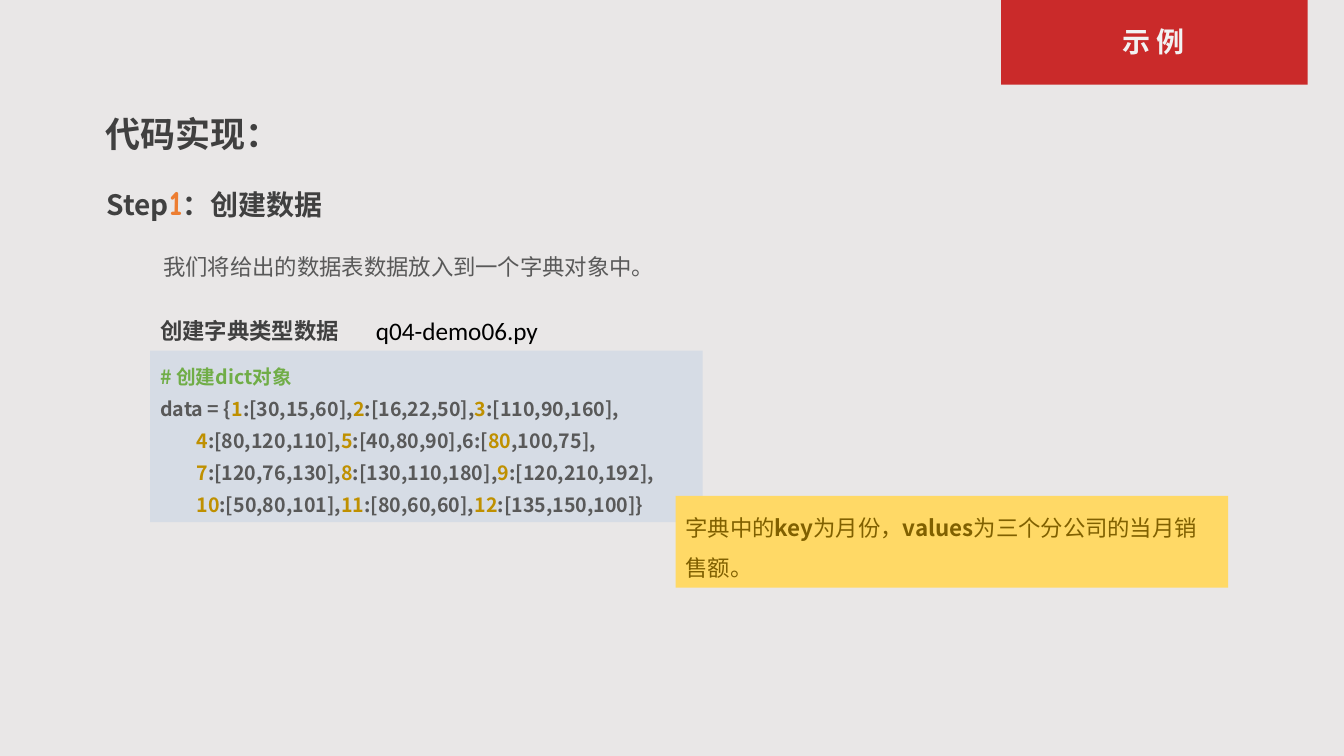
"""Build the slide that shows how to create dictionary data in code."""
from lxml.etree import SubElement
from pptx import Presentation
from pptx.dml.color import RGBColor
from pptx.enum.shapes import MSO_SHAPE as Preset
from pptx.enum.text import MSO_ANCHOR as Anchor, MSO_AUTO_SIZE as AutoSize, PP_ALIGN as Align
from pptx.oxml.ns import qn
from pptx.util import Inches, Pt

HEADING, BODY, NUMBER, COMMENT, NOTE = "404040", "595959", "BF9000", "70AD47", "806000"


def rgb(value):
    """Turn a hex string into a colour."""
    return RGBColor.from_string(value)


class Board:
    """Hold the style and the current slide."""

    font = "Noto Sans CJK SC"

    def __init__(self, slide, background):
        """Take the slide and paint its background."""
        self.slide = slide
        slide.background.fill.solid()
        slide.background.fill.fore_color.rgb = rgb(background)

    def panel(self, box, fill, anchor=Anchor.TOP):
        """Add a plain filled rectangle and return its text frame."""
        panel = self.slide.shapes.add_shape(Preset.RECTANGLE, *map(Inches, box))
        panel.shadow.inherit = False
        panel.fill.solid()
        panel.fill.fore_color.rgb = rgb(fill)
        panel.line.fill.background()
        panel.text_frame.word_wrap = True
        panel.text_frame.vertical_anchor = anchor
        return panel.text_frame

    def label(self, box, wrap=True):
        """Add a text box and return its text frame."""
        frame = self.slide.shapes.add_textbox(*map(Inches, box)).text_frame
        frame.word_wrap = wrap
        frame.auto_size = AutoSize.SHAPE_TO_FIT_TEXT
        return frame

    def add_runs(self, paragraph, runs, spacing=None, align=Align.LEFT):
        """Fill a paragraph with runs of text, size, colour, weight and font."""
        paragraph.alignment = align
        paragraph.line_spacing = spacing
        for text, size, color, bold, *font in runs:
            run = paragraph.add_run()
            run.text = text
            run.font.size = Pt(size)
            run.font.bold = bold
            run.font.color.rgb = rgb(color)
            run.font.name = font[0] if font else self.font
            SubElement(run.font._element, qn("a:ea"), typeface=run.font.name)

    def code(self, box, fill, comment, rows, indent):
        """Add a code panel whose rows alternate plain text and numbers."""
        frame = self.panel(box, fill, Anchor.MIDDLE)
        self.add_runs(frame.paragraphs[0], [(comment, 14, COMMENT, True)], Pt(23))
        for row in rows:
            line = frame.add_paragraph()
            if not row[0]:
                line._p.get_or_add_pPr().set("marL", str(Inches(indent)))
            self.add_runs(line, [(part, 14, NUMBER if place % 2 else BODY, True)
                                 for place, part in enumerate(row) if part], Pt(23))


def main():
    """Compose the slide and save it."""
    deck = Presentation()
    deck.slide_width, deck.slide_height = Inches(13.33), Inches(7.5)
    board = Board(deck.slides.add_slide(deck.slide_layouts[6]), "E9E7E7")

    board.panel((9.93, 0, 3.04, 0.84), "CA2A2A")
    badge = board.label((9.94, 0.23, 3, 0.42))
    badge.auto_size = AutoSize.NONE
    badge.paragraphs[0].space_before = Pt(10)
    board.add_runs(badge.paragraphs[0], [("示 例", 20, "F2F2F2", True)], 0.9, Align.CENTER)

    labels = [
        ((0.95, 1.07, 1.96, 0.52), False, None, [("代码实现：", 25, HEADING, True)]),
        ((1.52, 2.33, 10.35, 0.46), True, 1.5,
         [("我们将给出的数据表数据放入到一个字典对象中。", 16, BODY, False)]),
        ((0.96, 1.74, 6.01, 0.52), True, None,
         [("Step", 20, HEADING, True), ("1", 25, "ED7D31", True, "Comic Neue"),
          ("：创建数据", 20, HEADING, True)]),
        ((1.49, 2.96, 6.11, 0.46), True, 1.5, [("创建字典类型数据", 16, HEADING, True)]),
        ((3.63, 3.08, 2.78, 0.4), True, None,
         [("q04-demo06.py", 18, "000000", False, "Calibri")]),
    ]
    for box, wrap, spacing, runs in labels:
        board.add_runs(board.label(box, wrap).paragraphs[0], runs, spacing)

    board.code((1.49, 3.48, 5.48, 1.7), "D6DCE5", "# 创建dict对象", [
        ["data = {", "1", ":[30,15,60],", "2", ":[16,22,50],", "3", ":[110,90,160],"],
        ["", "4", ":[80,120,110],", "5", ":[40,80,90],6:[", "80", ",100,75],"],
        ["", "7", ":[120,76,130],", "8", ":[130,110,180],", "9", ":[120,210,192],"],
        ["", "10", ":[50,80,101],", "11", ":[80,60,60],", "12", ":[135,150,100]}"],
    ], 0.36)

    note = board.panel((6.7, 4.92, 5.48, 0.91), "FFD966")
    note.auto_size = AutoSize.SHAPE_TO_FIT_TEXT
    parts = ["字典中的", "key", "为月份，", "values", "为三个分公司的当月销售额。"]
    board.add_runs(note.paragraphs[0],
                   [(part, 16, NOTE, place % 2 == 1) for place, part in enumerate(parts)], 1.5)

    deck.save("out.pptx")


if __name__ == "__main__":
    main()
